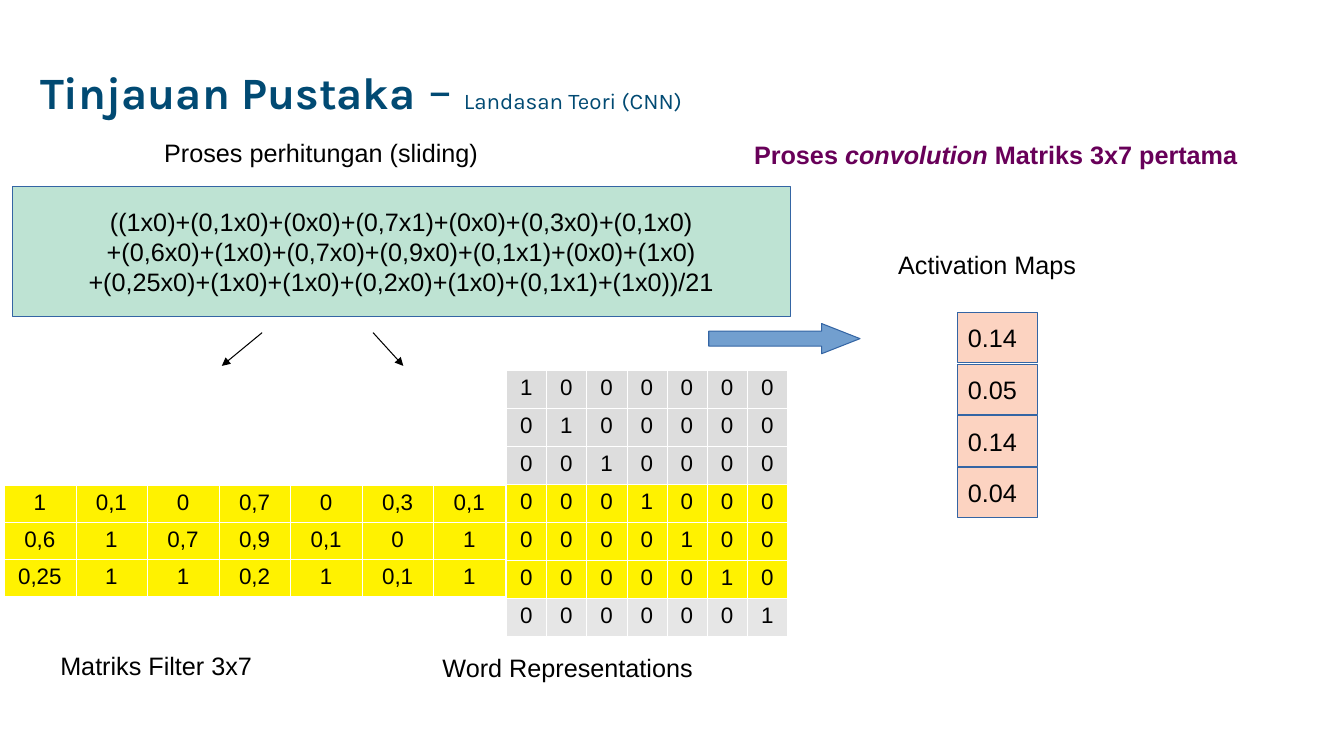
from lxml import etree
from pptx import Presentation
from pptx.dml.color import RGBColor
from pptx.enum.shapes import MSO_CONNECTOR, MSO_SHAPE
from pptx.enum.text import MSO_ANCHOR, PP_ALIGN
from pptx.oxml.ns import qn
from pptx.util import Inches, Pt

LEFT, CENTER = PP_ALIGN.LEFT, PP_ALIGN.CENTER
TOP, MIDDLE = MSO_ANCHOR.TOP, MSO_ANCHOR.MIDDLE
RECTANGLE, RIGHT_ARROW = MSO_SHAPE.RECTANGLE, MSO_SHAPE.RIGHT_ARROW
STRAIGHT = MSO_CONNECTOR.STRAIGHT

COLORS = {
    "title": "014A73", "heading": "680059", "text": "000000", "border": "FFFFFF",
    "outline": "3465A4", "formula": "BEE3D3", "arrow": "729FCF", "activation": "FCD3C1",
    "window": "FFF200", "above": "DDDDDD", "below": "E6E6E6",
}

TITLE = [
    ("Tinjauan Pustaka", {"size": 32, "bold": True}),
    (" – ", {"size": 36}),
    ("Landasan Teori (CNN)", {"size": 16}),
]
HEADING = [
    ("Proses ", {"bold": True}),
    ("convolution", {"bold": True, "italic": True}),
    (" Matriks 3x7 pertama", {"bold": True}),
]
FORMULA = [
    "((1x0)+(0,1x0)+(0x0)+(0,7x1)+(0x0)+(0,3x0)+(0,1x0)",
    "+(0,6x0)+(1x0)+(0,7x0)+(0,9x0)+(0,1x1)+(0x0)+(1x0)",
    "+(0,25x0)+(1x0)+(1x0)+(0,2x0)+(1x0)+(0,1x1)+(1x0))/21",
]
CAPTIONS = [
    ("Matriks Filter 3x7", (0.5, 6.4, 2.5, 0.38)),
    ("Word Representations", (4.29, 6.42, 3.19, 0.38)),
    ("Proses perhitungan (sliding)", (1.53, 1.31, 3.88, 0.38)),
    ("Activation Maps", (8.81, 2.42, 2.29, 0.38)),
]
FILTER_MATRIX = [
    ["1", "0,1", "0", "0,7", "0", "0,3", "0,1"],
    ["0,6", "1", "0,7", "0,9", "0,1", "0", "1"],
    ["0,25", "1", "1", "0,2", "1", "0,1", "1"],
]
WORD_ROW_FILLS = ["above"] * 3 + ["window"] * 3 + ["below"]
WORD_COUNT = len(WORD_ROW_FILLS)
WORD_MATRIX = [["1" if col == row else "0" for col in range(WORD_COUNT)]
               for row in range(WORD_COUNT)]
ACTIVATIONS = ["0.14", "0.05", "0.14", "0.04"]
ACTIVATION_TOP, ACTIVATION_PITCH = 3.1, 0.513
POINTERS = [((2.6, 3.3), (2.2, 3.63)), ((3.7, 3.3), (4, 3.63))]


def rgb(name):
    return RGBColor.from_string(COLORS[name])


def add_run(paragraph, text, color="text", face="Arial", size=18, bold=False, italic=False):
    run = paragraph.add_run()
    run.text = text
    font = run.font
    font.name, font.size, font.bold, font.italic = face, Pt(size), bold, italic
    font.color.rgb = rgb(color)


def write(frame, lines, align=LEFT, anchor=TOP, **defaults):
    frame.word_wrap = True
    frame.vertical_anchor = anchor
    for index, runs in enumerate(lines):
        paragraph = frame.add_paragraph() if index else frame.paragraphs[0]
        paragraph.alignment = align
        for text, style in runs:
            add_run(paragraph, text, **{**defaults, **style})


def add_text(slide, box, runs, anchor=TOP, **defaults):
    frame = slide.shapes.add_textbox(*map(Inches, box)).text_frame
    write(frame, [runs], anchor=anchor, **defaults)
    return frame


def add_block(slide, kind, box, fill):
    block = slide.shapes.add_shape(kind, *map(Inches, box))
    block.shadow.inherit = False
    block.fill.solid()
    block.fill.fore_color.rgb = rgb(fill)
    block.line.color.rgb = rgb("outline")
    block.line.width = Pt(0.75)
    return block


def add_borders(cell):
    properties = cell._tc.get_or_add_tcPr()
    for index, side in enumerate(("a:lnL", "a:lnR", "a:lnT", "a:lnB")):
        border = etree.Element(qn(side), w=str(Pt(0.06)))
        fill = etree.SubElement(border, qn("a:solidFill"))
        etree.SubElement(fill, qn("a:srgbClr"), val=COLORS["border"])
        properties.insert(index, border)


def add_matrix(slide, box, values, row_heights, row_fills):
    table = slide.shapes.add_table(len(values), len(values[0]), *map(Inches, box)).table
    for row, height, fill, texts in zip(table.rows, row_heights, row_fills, values):
        row.height = Inches(height)
        for cell, text in zip(row.cells, texts):
            cell.fill.solid()
            cell.fill.fore_color.rgb = rgb(fill)
            add_borders(cell)
            write(cell.text_frame, [[(text, {"size": 16})]], CENTER)


def add_pointer(slide, start, end):
    pointer = slide.shapes.add_connector(STRAIGHT, *map(Inches, start + end))
    pointer.line.color.rgb = rgb("text")
    pointer.line.width = Pt(0.75)
    etree.SubElement(pointer.line._get_or_add_ln(), qn("a:tailEnd"), type="triangle")
    etree.SubElement(pointer._element.spPr, qn("a:effectLst"))


def main():
    """Build the convolution calculation slide."""
    deck = Presentation()
    deck.slide_width, deck.slide_height = Inches(13.33), Inches(7.5)
    slide = deck.slides.add_slide(deck.slide_layouts[6])

    title = add_text(slide, (0.3, 0.2, 7.5, 1.45), TITLE, MIDDLE, color="title", face="Karla")
    title.paragraphs[0].line_spacing = 0.9
    add_matrix(slide, (5.02, 3.67, 2.79, 2.63), WORD_MATRIX,
               [0.377] * WORD_COUNT, WORD_ROW_FILLS)

    formula = add_block(slide, RECTANGLE, (0.12, 1.85, 7.72, 1.29), "formula")
    write(formula.text_frame, [[(line, {})] for line in FORMULA], CENTER, MIDDLE)
    arrow = add_block(slide, RIGHT_ARROW, (7.03, 3.21, 1.5, 0.3), "arrow")
    arrow.adjustments[0], arrow.adjustments[1] = 0.5, 1.27

    for caption, box in CAPTIONS:
        add_text(slide, box, [(caption, {})])
    for start, end in POINTERS:
        add_pointer(slide, start, end)
    add_text(slide, (7.38, 1.33, 5.95, 0.66), HEADING, color="heading")
    add_matrix(slide, (0.04, 4.81, 4.97, 1.07), FILTER_MATRIX,
               [0.35, 0.37, 0.35], ["window"] * 3)

    for index, value in enumerate(ACTIVATIONS):
        top = ACTIVATION_TOP + index * ACTIVATION_PITCH
        activation = add_block(slide, RECTANGLE, (9.5, top, 0.79, 0.5), "activation")
        write(activation.text_frame, [[(value, {})]], anchor=MIDDLE)

    deck.save("out.pptx")


if __name__ == "__main__":
    main()
